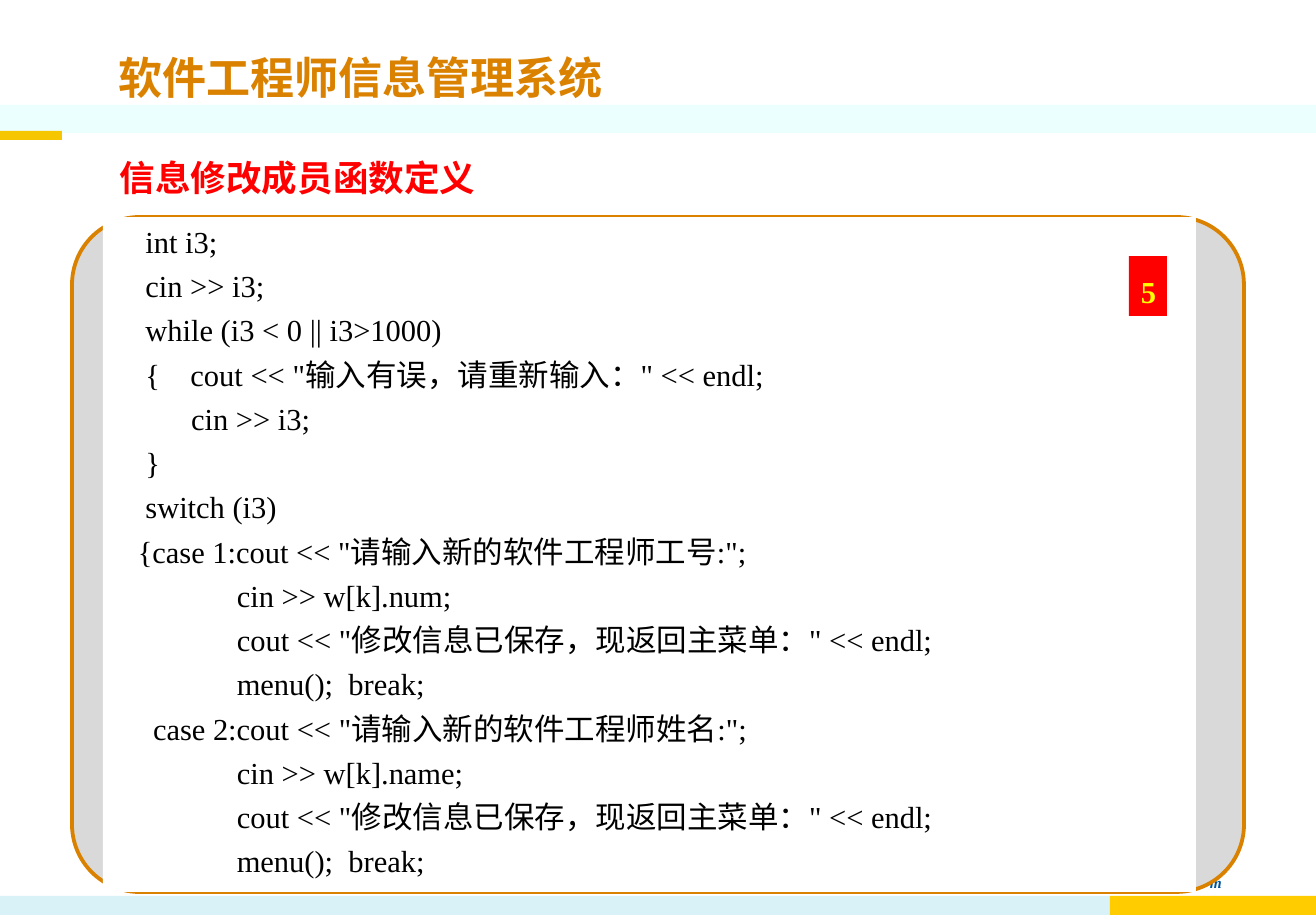
from dataclasses import dataclass

from lxml import etree
from pptx import Presentation
from pptx.dml.color import RGBColor
from pptx.enum.shapes import MSO_SHAPE
from pptx.enum.text import MSO_ANCHOR, PP_ALIGN
from pptx.oxml.ns import qn
from pptx.util import Pt

RECT, ROUNDED = MSO_SHAPE.RECTANGLE, MSO_SHAPE.ROUNDED_RECTANGLE
LEFT, CENTER = PP_ALIGN.LEFT, PP_ALIGN.CENTER
TOP, MIDDLE = MSO_ANCHOR.TOP, MSO_ANCHOR.MIDDLE

TITLE = "软件工程师信息管理系统"
SUBTITLE = "信息修改成员函数定义"
FOOTER_LETTER = "m"
STEP = "5"
CODE = [
    '    int i3;',
    '    cin >> i3;',
    '    while (i3 < 0 || i3>1000)',
    '    {    cout << "输入有误，请重新输入：" << endl;',
    '          cin >> i3;',
    '    }',
    '    switch (i3)',
    '   {case 1:cout << "请输入新的软件工程师工号:";',
    '                cin >> w[k].num;',
    '                cout << "修改信息已保存，现返回主菜单：" << endl;',
    '                menu();  break;',
    '     case 2:cout << "请输入新的软件工程师姓名:";',
    '                cin >> w[k].name;',
    '                cout << "修改信息已保存，现返回主菜单：" << endl;',
    '                menu();  break;',
]


@dataclass(frozen=True)
class Theme:
    serif: str = "Times New Roman"
    sans: str = "Noto Sans CJK SC"
    orange: str = "DA8200"
    red: str = "FF0000"
    yellow: str = "FFFF00"
    navy: str = "005696"
    black: str = "000000"
    white: str = "FFFFFF"
    grey: str = "D9D9D9"
    header_band: str = "EBFFFF"
    header_tab: str = "F6C700"
    footer_band: str = "D9F2F7"
    footer_tab: str = "FFCC00"
    title_size: int = 26
    subtitle_size: int = 21
    code_size: int = 18
    footer_size: int = 9


THEME = Theme()
PX = 914400 / 122
WIDTH, HEIGHT = 1316, 915
FOOTER_TOP, FOOTER_SPLIT = 896, 1110
CODE_TOP, CODE_HEIGHT = 217, 675

BANDS = [
    ((0, 105, WIDTH, 28), THEME.header_band),
    ((0, FOOTER_TOP, FOOTER_SPLIT, HEIGHT - FOOTER_TOP), THEME.footer_band),
    ((FOOTER_SPLIT, FOOTER_TOP, WIDTH - FOOTER_SPLIT, HEIGHT - FOOTER_TOP),
     THEME.footer_tab),
    ((0, 131, 62, 9), THEME.header_tab),
]


def px(length):
    return round(length * PX)


def add_block(page, frame, fill, kind=RECT):
    block = page.shapes.add_shape(kind, *map(px, frame))
    block.shadow.inherit = False
    block.fill.solid()
    block.fill.fore_color.rgb = RGBColor.from_string(fill)
    block.line.fill.background()
    return block


def add_text_box(page, frame):
    return page.shapes.add_textbox(*map(px, frame))


def write(box, lines, size, color, font=THEME.serif, bold=False, italic=False,
          align=LEFT, anchor=TOP, wrap=True, spacing=None, gap=0):
    """Fill a shape with equally styled lines, gap points apart."""
    text = box.text_frame
    text.word_wrap = wrap
    text.vertical_anchor = anchor
    for index, line in enumerate(lines):
        para = text.paragraphs[0] if index == 0 else text.add_paragraph()
        para.add_run().text = line
        para.alignment = align
        para.space_before = Pt(gap if index else 0)
        if spacing:
            para.line_spacing = spacing
        para.font.name = font
        para.font.size = Pt(size)
        para.font.bold = bold
        para.font.italic = italic
        para.font.color.rgb = RGBColor.from_string(color)
        defaults = para._p.pPr.find(qn("a:defRPr"))
        etree.SubElement(defaults, qn("a:ea"), typeface=THEME.sans)


def main():
    deck = Presentation()
    deck.slide_width, deck.slide_height = px(WIDTH), px(HEIGHT)
    page = deck.slides.add_slide(deck.slide_layouts[6])

    footer = add_text_box(page, (1198, 867, 48, 31))
    write(footer, [FOOTER_LETTER], THEME.footer_size, THEME.navy,
          bold=True, italic=True)

    for frame, fill in BANDS:
        add_block(page, frame, fill)

    panel = add_block(page, (72, CODE_TOP, 1172, CODE_HEIGHT), THEME.grey, ROUNDED)
    panel.adjustments[0] = 0.1
    panel.line.color.rgb = RGBColor.from_string(THEME.orange)
    panel.line.width = Pt(2.25)

    subtitle = add_text_box(page, (72, 150, 451, 82))
    write(subtitle, [SUBTITLE], THEME.subtitle_size, THEME.red, bold=True, align=CENTER)

    title = add_text_box(page, (106, 44, 638, 66))
    write(title, [TITLE], THEME.title_size, THEME.orange, font=THEME.sans,
          bold=True, anchor=MIDDLE)

    code = add_block(page, (103, CODE_TOP, 1093, CODE_HEIGHT), THEME.white)
    write(code, CODE, THEME.code_size, THEME.black, spacing=Pt(21.6), gap=4.5)

    badge = add_block(page, (1129, 256, 38, 60), THEME.red)
    write(badge, [STEP], THEME.code_size, THEME.yellow, bold=True,
          anchor=MIDDLE, wrap=False, spacing=1.3)

    deck.save("out.pptx")


if __name__ == "__main__":
    main()
